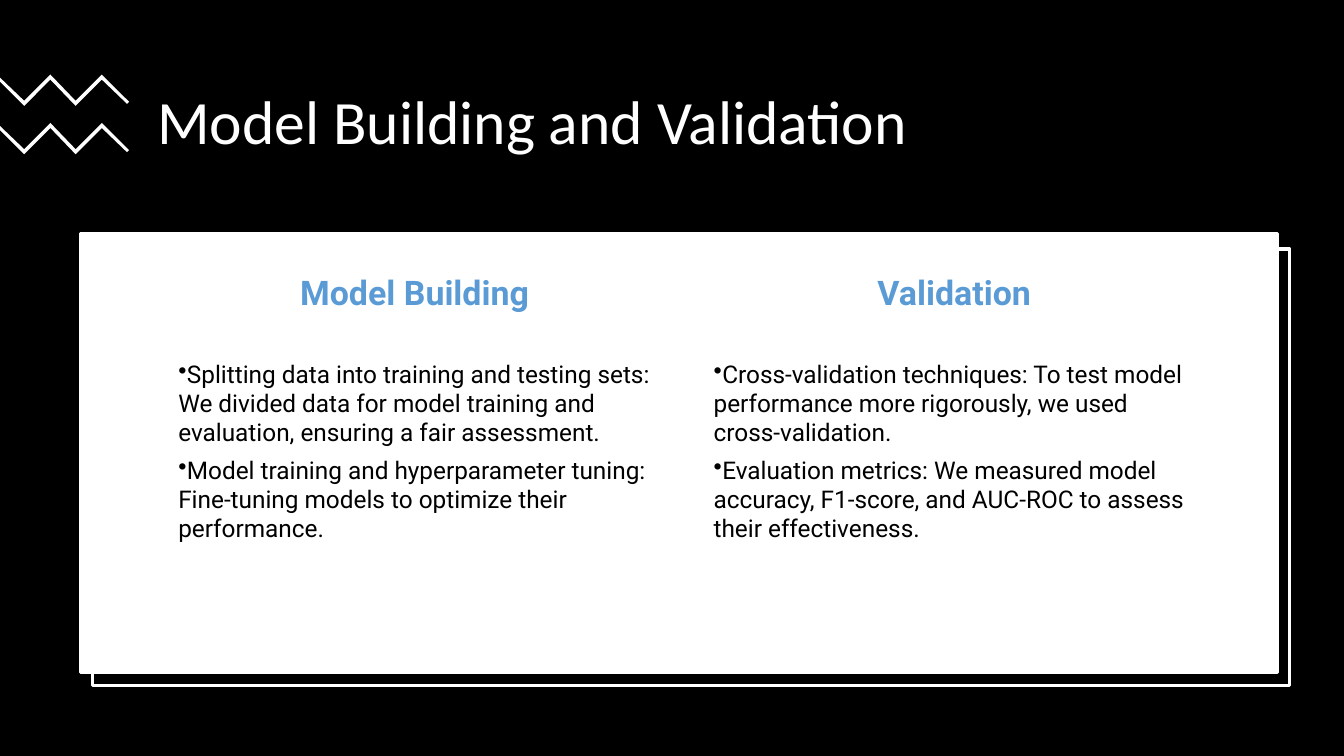
from dataclasses import dataclass

from lxml import etree
from pptx import Presentation
from pptx import util as u
from pptx.dml.color import RGBColor
from pptx.enum import shapes, text
from pptx.oxml import ns


@dataclass(frozen=True)
class Theme:
    black: RGBColor = RGBColor(0, 0, 0)
    white: RGBColor = RGBColor(255, 255, 255)
    blue: RGBColor = RGBColor(0x5B, 0x9B, 0xD5)
    title: float = 44
    head: float = 24.2
    body: float = 17.4
    after: float = 6.1
    edge: float = 2.25


THEME = Theme()
WIDTH, HEIGHT = 13.33, 7.5
COLUMNS = [
    (1.67, "Model Building ", [
        "Splitting data into training and testing sets: We divided data for model training and evaluation, ensuring a fair assessment.",
        "Model training and hyperparameter tuning: Fine-tuning models to optimize their performance.",
    ]),
    (6.98, "Validation", [
        "Cross-validation techniques: To test model performance more rigorously, we used cross-validation.",
        "Evaluation metrics: We measured model accuracy, F1-score, and AUC-ROC to assess their effectiveness.",
    ]),
]


def paint(shape, fill, line=None):
    shape.shadow.inherit = False
    shape.fill.solid()
    shape.fill.fore_color.rgb = fill
    if line is None:
        shape.line.fill.background()
    else:
        shape.line.color.rgb = line
        shape.line.width = u.Pt(THEME.edge)


def add_panel(slide, box, fill, line=None):
    panel = slide.shapes.add_shape(
        shapes.MSO_SHAPE.RECTANGLE, *map(u.Inches, box))
    paint(panel, fill, line)


def add_zigzag(slide, top):
    upper = [(0, 0.03), (0.24, 0.26), (0.5, 0), (0.75, 0.26), (1.01, 0), (1.28, 0.27)]
    lower = [(1.26, 0.29)] + [(x, y + 0.05) for x, y in upper[-2:0:-1]] + [(0, 0.07)]
    points = [(u.Inches(x), u.Inches(top + y)) for x, y in upper + lower]
    form = slide.shapes.build_freeform(*points[0])
    form.add_line_segments(points[1:], close=True)
    paint(form.convert_to_shape(), THEME.white)


def add_text(slide, box, lines, font, size, color, bold=False,
             align=text.PP_ALIGN.LEFT, after=THEME.after):
    frame = slide.shapes.add_textbox(*map(u.Inches, box)).text_frame
    frame.word_wrap = True
    for i, line in enumerate(lines):
        para = frame.paragraphs[0] if i == 0 else frame.add_paragraph()
        para.text = line
        para.alignment = align
        para.space_after = u.Pt(after)
        para.font.name = font
        para.font.size = u.Pt(size)
        para.font.bold = bold
        para.font.color.rgb = color
    return frame


def add_dots(frame):
    for para in frame.paragraphs:
        props = para._p.get_or_add_pPr()
        props.set("marL", "0")
        props.set("indent", "0")
        dot = etree.Element(ns.qn("a:buChar"), char="•")
        props.find(ns.qn("a:spcAft")).addnext(dot)


def add_title(slide, words):
    frame = add_text(slide, (1.46, 0.62, 10.66, 1.23), [words],
                     "Calibri", THEME.title, THEME.white, after=0)
    frame.vertical_anchor = text.MSO_ANCHOR.MIDDLE
    frame.paragraphs[0].line_spacing = 0.9


def add_column(slide, left, head, points):
    add_text(slide, (left, 2.65, 4.97, 0.86), [head], "Roboto", THEME.head,
             THEME.blue, bold=True, align=text.PP_ALIGN.CENTER)
    add_dots(add_text(slide, (left, 3.51, 4.97, 2.83), points,
                      "Roboto", THEME.body, THEME.black))


def main():
    deck = Presentation()
    deck.slide_width = u.Inches(WIDTH)
    deck.slide_height = u.Inches(HEIGHT)
    slide = deck.slides.add_slide(deck.slide_layouts[6])
    add_panel(slide, (0, 0, WIDTH, HEIGHT), THEME.black)
    add_title(slide, "Model Building and Validation")
    for top in (0.74, 1.22):
        add_zigzag(slide, top)
    add_panel(slide, (0.92, 2.47, 11.87, 4.33), THEME.black, THEME.white)
    add_panel(slide, (0.8, 2.32, 11.87, 4.35), THEME.white, THEME.white)
    for column in COLUMNS:
        add_column(slide, *column)
    deck.save("out.pptx")


if __name__ == "__main__":
    main()
